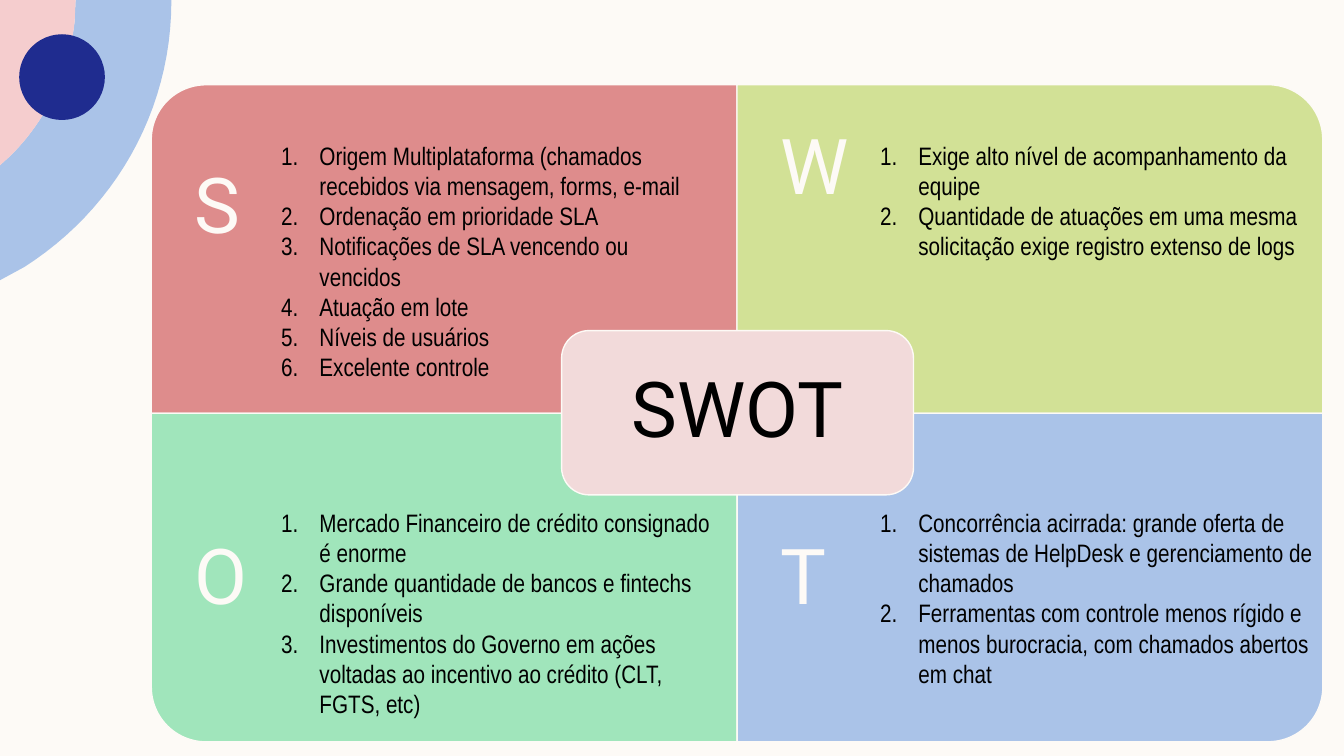
from pptx import Presentation
from pptx.dml.color import RGBColor
from pptx.enum.shapes import MSO_SHAPE as SHAPE
from pptx.enum.text import MSO_ANCHOR as ANCHOR, MSO_AUTO_SIZE as AUTO, PP_ALIGN as ALIGN
from pptx.oxml.ns import qn
from pptx.util import Inches, Pt
from lxml import etree

COLORS = {
    "cream": "FDFAF6", "blue": "AAC3E8", "pink": "F5CDCE", "navy": "1F2C8F",
    "red": "DE8C8C", "lime": "D2E196", "green": "A0E5BB", "blush": "F2DADA",
    "black": "000000",
}
LEFT, TOP, QUAD_W, QUAD_H = 1.5, 0.84, 5.81, 3.26
LETTER_H = 2.45

# letter, colour, column, row, rotation, anchor, list height, items
QUADRANTS = [
    ("S", "red", 0, 0, 270, ANCHOR.MIDDLE, 2.83, [
        "Origem Multiplataforma (chamados recebidos via mensagem, forms, e-mail",
        "Ordenação em prioridade SLA",
        "Notificações de SLA vencendo ou vencidos",
        "Atuação em lote",
        "Níveis de usuários",
        "Excelente controle"]),
    ("W", "lime", 1, 0, 0, ANCHOR.TOP, 2.22, [
        "Exige alto nível de acompanhamento da equipe",
        "Quantidade de atuações em uma mesma solicitação exige registro extenso de logs"]),
    ("O", "green", 0, 1, 180, ANCHOR.TOP, 2.22, [
        "Mercado Financeiro de crédito consignado é enorme",
        "Grande quantidade de bancos e fintechs disponíveis",
        "Investimentos do Governo em ações voltadas ao incentivo ao crédito (CLT, FGTS, etc)"]),
    ("T", "blue", 1, 1, 90, ANCHOR.TOP, 2.52, [
        "Concorrência acirrada: grande oferta de sistemas de HelpDesk e gerenciamento de chamados",
        "Ferramentas com controle menos rígido e menos burocracia, com chamados abertos em chat"]),
]


def rgb(name):
    return RGBColor.from_string(COLORS[name])


def paint(sp, fill, line=None):
    sp.shadow.inherit = False
    sp.fill.solid()
    sp.fill.fore_color.rgb = rgb(fill)
    if line:
        sp.line.color.rgb = rgb(line)
        sp.line.width = Pt(1)
    else:
        sp.line.fill.background()


def add_block(s, kind, x, y, w, h, fill, line=None, rotation=0):
    sp = s.shapes.add_shape(kind, Inches(x), Inches(y), Inches(w), Inches(h))
    sp.rotation = rotation
    paint(sp, fill, line)


def curve(p0, p1, p2, p3, steps=24):
    """Points along a cubic Bezier curve."""
    def at(t):
        u = 1 - t
        return tuple(u**3 * a + 3 * u * u * t * b + 3 * u * t * t * c + t**3 * d
                     for a, b, c, d in zip(p0, p1, p2, p3))
    return [at(i / steps) for i in range(steps + 1)]


def add_outline(s, points, fill):
    points = [(Inches(x), Inches(y)) for x, y in points]
    builder = s.shapes.build_freeform(*points[0])
    builder.add_line_segments(points[1:])
    paint(builder.convert_to_shape(), fill)


def set_frame(tf, inset=None, anchor=ANCHOR.TOP):
    tf.word_wrap = True
    tf.auto_size = AUTO.NONE
    tf.vertical_anchor = anchor
    if inset is not None:
        tf.margin_left = tf.margin_right = Inches(inset)
        tf.margin_top = tf.margin_bottom = Inches(inset)


def add_run(p, text, size, font, color):
    r = p.add_run()
    r.text = text
    r.font.size = Pt(size)
    r.font.name = font
    r.font.color.rgb = rgb(color)


def add_heading(tf, text, color, inset, anchor, align=ALIGN.LEFT):
    set_frame(tf, inset, anchor)
    p = tf.paragraphs[0]
    p.alignment = align
    p.line_spacing = 0.9
    add_run(p, text, 55, "Roboto", color)


def add_textbox(s, x, y, w, h):
    return s.shapes.add_textbox(Inches(x), Inches(y), Inches(w), Inches(h)).text_frame


def add_numbered_list(s, x, y, w, h, items):
    tf = add_textbox(s, x, y, w, h)
    set_frame(tf)
    for i, item in enumerate(items):
        p = tf.add_paragraph() if i else tf.paragraphs[0]
        add_run(p, item, 18, "Arial Narrow", "black")
        pPr = p._p.get_or_add_pPr()
        pPr.set("marL", str(Inches(0.38)))
        pPr.set("indent", str(-Inches(0.38)))
        etree.SubElement(pPr, qn("a:buFont")).set("typeface", "+mj-lt")
        etree.SubElement(pPr, qn("a:buAutoNum")).set("type", "arabicPeriod")


def add_corner_art(s):
    outer = curve((1.7, 0.01), (1.7, 1.12), (1.12, 2.09), (0.24, 2.65))
    inner = curve((0.74, 0.22), (0.68, 0.73), (0.46, 1.19), (0.11, 1.54))
    add_outline(s, [(0.75, 0), (1.7, 0), *outer, (0, 2.78), (0, 1.64), *inner[::-1]], "blue")
    add_outline(s, [(0, 0), (0.75, 0), *inner, (0, 1.64)], "pink")
    add_block(s, SHAPE.OVAL, 0.19, 0.34, 0.85, 0.85, "navy")


def add_quadrant(s, letter, color, col, row, rotation, anchor):
    x, y = LEFT + col * QUAD_W, TOP + row * QUAD_H
    # A quarter turn swaps the sides around the same centre
    w, h = (QUAD_H, QUAD_W) if rotation % 180 else (QUAD_W, QUAD_H)
    add_block(s, SHAPE.ROUND_1_RECTANGLE, x + (QUAD_W - w) / 2, y + (QUAD_H - h) / 2,
              w, h, color, "cream", rotation)
    letter_y = y + row * (QUAD_H - LETTER_H)
    add_heading(add_textbox(s, x, letter_y, QUAD_W, LETTER_H), letter, "cream", 0.43, anchor)


def add_center_title(s):
    add_block(s, SHAPE.ROUNDED_RECTANGLE, 5.57, 3.28, 3.49, 1.63, "blush", "cream")
    title = s.shapes.title
    title.left, title.top = Inches(5.65), Inches(3.36)
    title.width, title.height = Inches(3.33), Inches(1.47)
    add_heading(title.text_frame, "SWOT", "black", 0.23, ANCHOR.MIDDLE, ALIGN.CENTER)
    # Bring the title in front of its block
    title.element.getparent().append(title.element)


def main():
    prs = Presentation()
    prs.slide_width, prs.slide_height = Inches(13.33), Inches(7.5)
    s = prs.slides.add_slide(prs.slide_layouts[5])
    s.background.fill.solid()
    s.background.fill.fore_color.rgb = rgb("cream")

    add_corner_art(s)

    # Matrix
    for letter, color, col, row, rotation, anchor, _, _ in QUADRANTS:
        add_quadrant(s, letter, color, col, row, rotation, anchor)
    add_center_title(s)

    # Lists
    for _, _, col, row, _, _, height, items in QUADRANTS:
        add_numbered_list(s, 2.69 + col * 5.94, 1.34 + row * 3.64, 4.49, height, items)

    prs.save("out.pptx")


if __name__ == "__main__":
    main()
